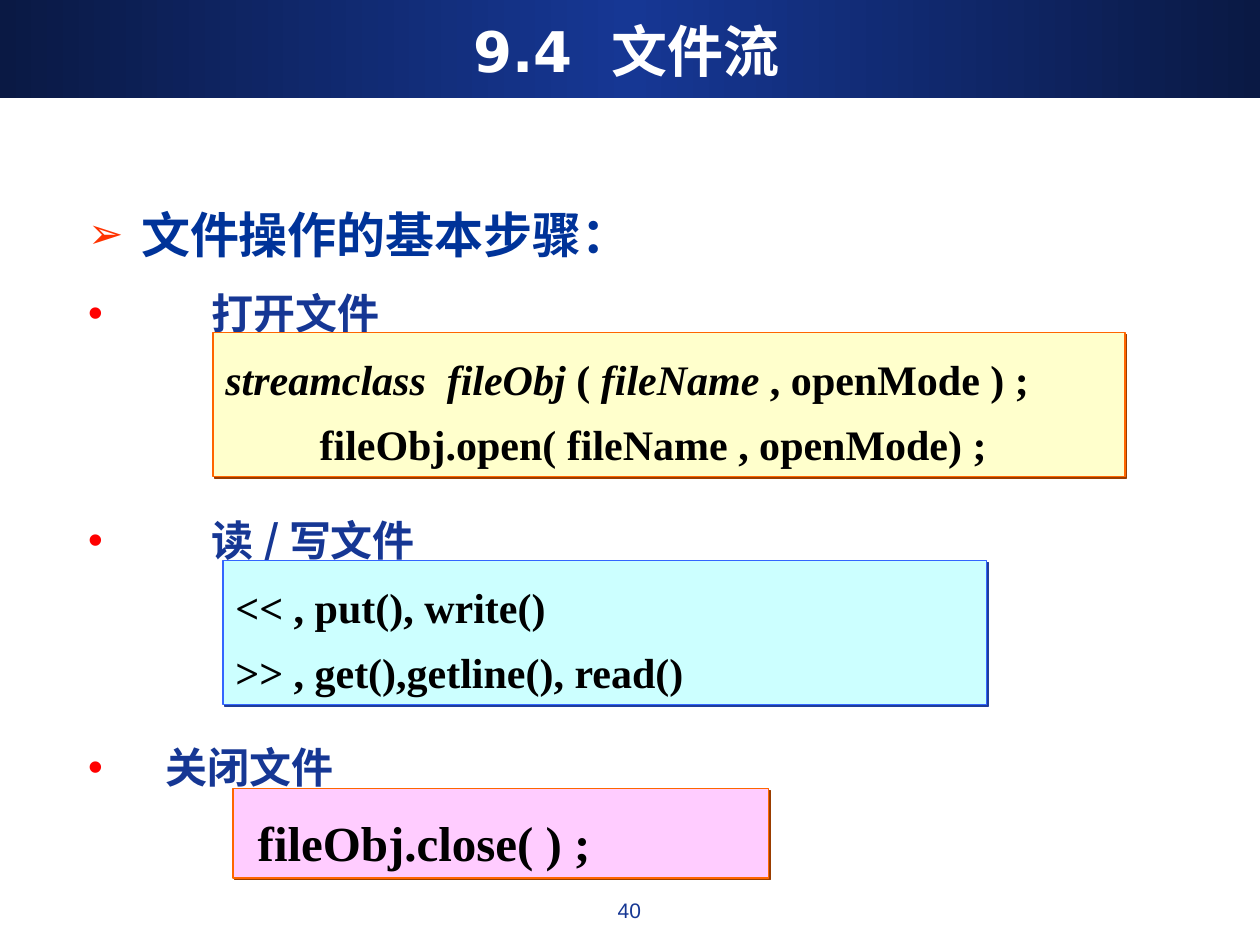
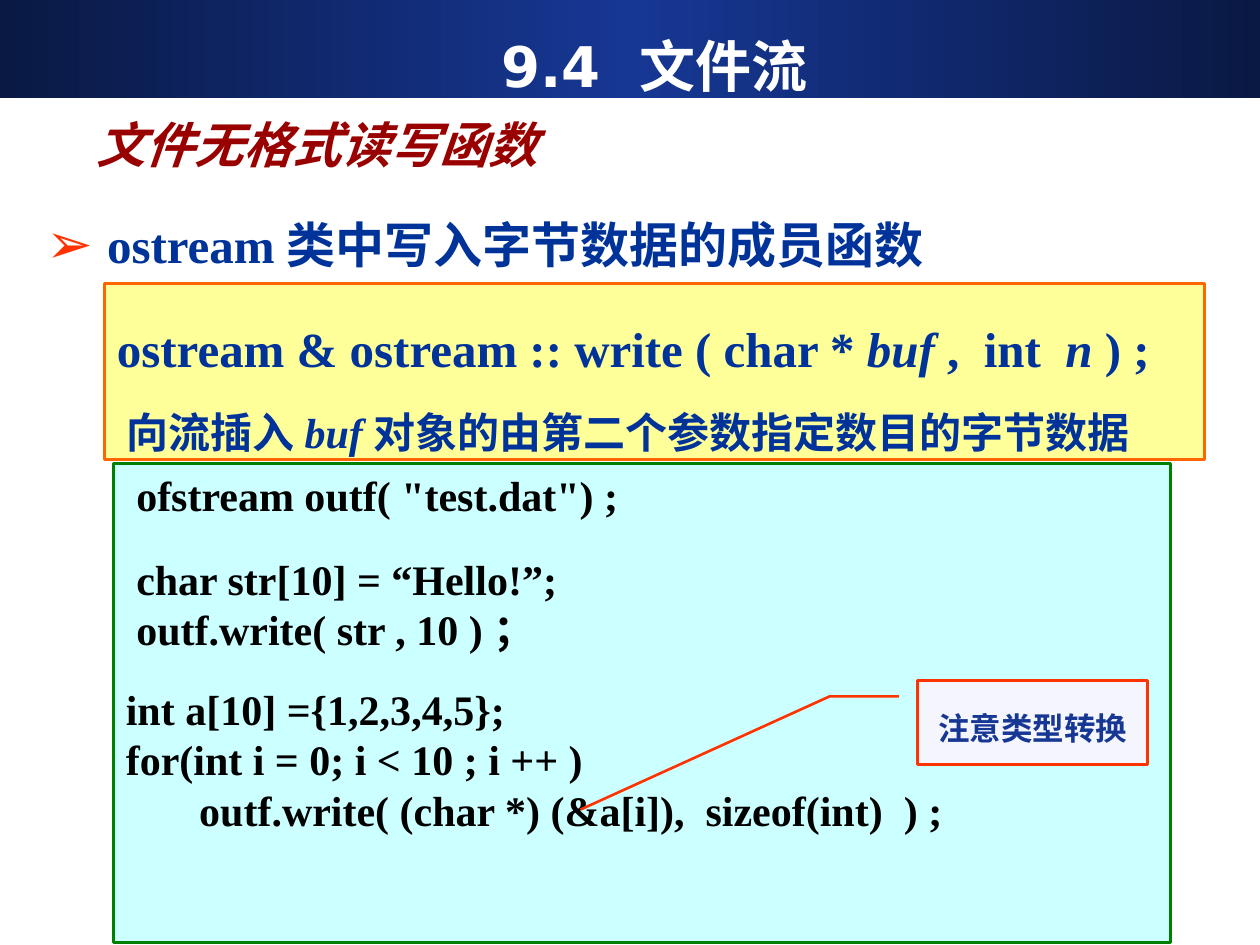
from copy import deepcopy

from lxml.etree import SubElement
from pptx import Presentation
from pptx.dml.color import RGBColor
from pptx.enum.shapes import MSO_SHAPE as Shape
from pptx.enum.text import MSO_ANCHOR as Anchor, MSO_AUTO_SIZE as AutoSize, PP_ALIGN as Align
from pptx.oxml.ns import qn
from pptx.util import Inches, Pt

NAVY, BLUE, RED, ORANGE, BLACK = "163794", "003399", "FF3300", "FF6600", "000000"
CJK, SERIF = "Noto Sans CJK SC", "Times New Roman"


def color(value):
    return RGBColor.from_string(value)


def write(shape, lines, font=SERIF, ink=BLACK, bold=True, align=Align.LEFT, anchor=Anchor.TOP):
    frame = shape.text_frame
    frame.word_wrap = True
    frame.auto_size = AutoSize.NONE
    frame.vertical_anchor = anchor
    for index, line in enumerate(lines):
        paragraph = frame.paragraphs[0] if index == 0 else frame.add_paragraph()
        for number, part in enumerate(line["text"].split("_")):
            if part:
                run = paragraph.add_run()
                run.text = part
                if number % 2:
                    run.font.italic = True
        paragraph.alignment = align
        paragraph.line_spacing = Pt(line["leading"]) if "leading" in line else 1.0
        paragraph.space_before = Pt(line.get("before", 0))
        properties = paragraph._p.get_or_add_pPr()
        margin = Inches(line.get("margin", 0))
        properties.set("marL", str(margin))
        properties.set("indent", str(-margin if "bullet" in line else 0))
        if "bullet" in line:
            mark, mark_color, percent = line["bullet"]
            bullet_color = SubElement(properties, qn("a:buClr"))
            SubElement(bullet_color, qn("a:srgbClr"), val=mark_color)
            SubElement(properties, qn("a:buSzPct"), val=str(percent * 1000))
            SubElement(properties, qn("a:buFont"), typeface="Arial")
            SubElement(properties, qn("a:buChar"), char=mark)
        else:
            SubElement(properties, qn("a:buNone"))
        if "tab" in line:
            tabs = SubElement(properties, qn("a:tabLst"))
            SubElement(tabs, qn("a:tab"), pos=str(Inches(line["tab"])), algn="l")
        paragraph.font.size = Pt(line["size"])
        paragraph.font.bold = bold
        paragraph.font.color.rgb = color(line.get("ink", ink))
        paragraph.font.name = font
        SubElement(properties.find(qn("a:defRPr")), qn("a:ea"), typeface=CJK)


presentation = Presentation()
presentation.slide_width, presentation.slide_height = Inches(10), Inches(7.5)
layout = presentation.slide_layouts[1]
steps_slide = presentation.slides.add_slide(layout)
write_slide = presentation.slides.add_slide(layout)

band = steps_slide.shapes.add_shape(Shape.RECTANGLE, 0, 0, Inches(10), Inches(0.78))
band.shadow.inherit = False
band.line.fill.background()
band.fill.gradient()
band.fill.gradient_angle = 0
stop_list = band.element.find(".//" + qn("a:gsLst"))
stop_list.append(deepcopy(stop_list[-1]))
for stop, position, shade in zip(band.fill.gradient_stops, (0, 0.5, 1), ("0A1944", NAVY, "0A1944")):
    stop.position = position
    stop.color.rgb = color(shade)
layout.shapes.element.insert(2, band.element)

heading = {"size": 28, "ink": BLUE}
step = {"size": 24, "leading": 42.5, "bullet": ("•", "FF0000", 100)}
pages = [
    (steps_slide, (0.35, 0.09), (0.6, 1.3, 4.6, 5), CJK, [
        {**heading, "text": "文件操作的基本步骤：", "leading": 53.5, "margin": 0.42, "bullet": ("➢", RED, 86)},
        {**step, "text": "打开文件", "margin": 0.98},
        {**step, "text": "读 / 写文件", "margin": 0.98, "before": 87.2},
        {**step, "text": "关闭文件", "margin": 0.61, "before": 87.2},
    ]),
    (write_slide, (0.57, 0.21), (0.27, 1.39, 7.95, 0.8), SERIF, [
        {**heading, "text": "ostream 类中写入字节数据的成员函数", "leading": 52.5, "margin": 0.48,
         "bullet": ("➢", RED, 114)},
    ]),
]
for slide, (left, top), body_box, body_font, items in pages:
    title, body = slide.placeholders
    title.left, title.top, title.width, title.height = map(Inches, (left, top, 9.25, 0.62))
    write(title, [{"text": "9.4  文件流", "size": 32}], "DejaVu Sans", "FFFFFF",
          align=Align.CENTER, anchor=Anchor.MIDDLE)
    body.left, body.top, body.width, body.height = map(Inches, body_box)
    write(body, items, body_font, NAVY)

code = {"size": 24, "leading": 28.7}
wide_code = {"size": 24, "leading": 37.2}
boxes = [
    (steps_slide, (1.69, 2.64, 7.24, 1.14), "FFFFCC", ORANGE, 0.75, "993D00", BLACK, [
        {**wide_code, "text": "_streamclass  fileObj_ ( _fileName_ , openMode ) ;"},
        {**wide_code, "text": "         fileObj.open( fileName , openMode) ;"},
    ]),
    (steps_slide, (1.77, 4.45, 6.06, 1.14), "CCFFFF", "3366FF", 0.75, "1F3D99", BLACK, [
        {**wide_code, "text": "<< , put(),\twrite()", "tab": 2.66},
        {**wide_code, "text": ">> , get(),getline(), read()"},
    ]),
    (steps_slide, (1.85, 6.26, 4.25, 0.71), "FFCCFF", ORANGE, 0.75, "993D00", BLACK, [
        {"text": " fileObj.close( ) ;", "size": 28, "leading": 43.5},
    ]),
    (write_slide, (0.83, 2.25, 8.73, 1.4), "FFFF99", ORANGE, 1.5, None, BLUE, [
        {"text": "ostream & ostream :: write ( char * _buf _,  int  _n_ ) ;", "size": 28, "leading": 50.3},
        {"text": "向流插入 _buf _对象的由第二个参数指定数目的字节数据", "size": 24, "leading": 45, "margin": 0.08},
    ]),
    (write_slide, (0.9, 3.68, 8.39, 3.8), "CCFFFF", "008000", 1.5, None, BLACK, [
        {**code, "text": ' ofstream outf( "test.dat") ;'},
        {**code, "text": " char str[10] = “Hello!”;", "before": 19.3},
        {**code, "text": " outf.write( str , 10 ) ；"},
        {**code, "text": "int a[10] ={1,2,3,4,5};", "before": 17},
        {**code, "text": "for(int i = 0; i < 10 ; i ++ )"},
        {**code, "text": "       outf.write( (char *) (&a[i]),  sizeof(int)  ) ;"},
    ]),
    (write_slide, (7.28, 5.4, 1.83, 0.67), "F5F6FD", RED, 1.5, None, NAVY, [
        {"text": "注意类型转换", "size": 18, "leading": 34.5},
    ]),
]
for slide, box, fill, border, weight, shade, ink, lines in boxes:
    is_callout = border == RED
    kind = Shape.LINE_CALLOUT_2 if is_callout else Shape.RECTANGLE
    shape = slide.shapes.add_shape(kind, *map(Inches, box))
    shape.fill.solid()
    shape.fill.fore_color.rgb = color(fill)
    shape.line.color.rgb = color(border)
    shape.line.width = Pt(weight)
    shape.shadow.inherit = False
    if shade:
        effects = shape.element.find(".//" + qn("a:effectLst"))
        shadow = SubElement(effects, qn("a:outerShdw"), blurRad="0", dist=str(Pt(1.4)),
                            dir="2700000", algn="ctr", rotWithShape="0")
        SubElement(shadow, qn("a:srgbClr"), val=shade)
    if is_callout:
        for index, value in enumerate((0.19, -0.08, 0.19, -0.38, 1.53, -1.46)):
            shape.adjustments[index] = value
    write(shape, lines, ink=ink, align=Align.CENTER if is_callout else Align.LEFT)

page_number = steps_slide.shapes.add_textbox(*map(Inches, (3.83, 7.07, 2.33, 0.35)))
write(page_number, [{"text": "40", "size": 12}], "Arial", NAVY, bold=False, align=Align.CENTER)

subtitle = write_slide.shapes.add_textbox(*map(Inches, (0.67, 0.68, 4.1, 0.71)))
write(subtitle, [{"text": "_文件无格式读写函数_", "size": 28, "leading": 46.7}], CJK, "990000")

presentation.save("out.pptx")
